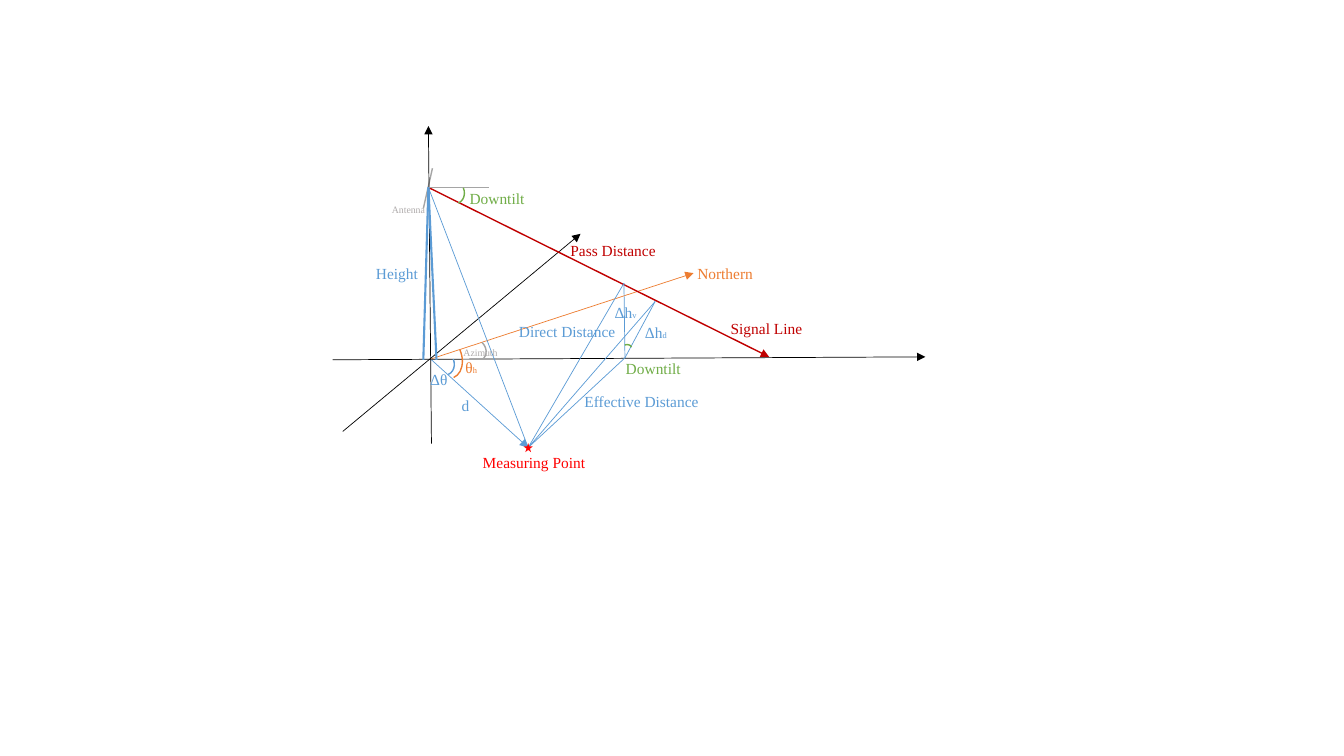
from lxml import etree
from pptx import Presentation
from pptx.dml.color import RGBColor
from pptx.enum.shapes import MSO_CONNECTOR, MSO_SHAPE
from pptx.enum.text import MSO_AUTO_SIZE
from pptx.oxml.ns import qn
from pptx.util import Pt

BLACK, GRAY, PALE = "000000", "A5A5A5", "AFABAB"
BLUE, ORANGE, GREEN = "5B9BD5", "ED7D31", "70AD47"
DARK_RED, RED = "C00000", "FF0000"
FONT = "Times New Roman"

# Key points of the diagram
ANTENNA, BASE = (306, 133.9), (308.2, 257)
MEASURING = (377.3, 319.7)
GROUND, ABOVE, NEAREST = (446.4, 255.6), (445.7, 202.3), (468, 215.3)

# from, to, colour, width, arrowhead
LINES = [
    ((302.4, 149), (308.9, 120.2), GRAY, 1, False),        # antenna panel
    ((308.2, 256.3), (495.4, 195.1), ORANGE, 0.5, True),   # north
    ((237.6, 257), (661, 254.9), BLACK, 0.5, True),        # axes
    ((244.8, 308.2), (414.7, 167), BLACK, 0.5, True),
    ((308.2, 316.8), (306, 90), BLACK, 0.5, True),
    (ANTENNA, (549.4, 254.9), DARK_RED, 1, True),          # signal
    (ANTENNA, (349.2, 133.9), GRAY, 1, False),             # horizontal
    (ANTENNA, (302.4, 257), BLUE, 1.5, False),             # tower legs
    (ANTENNA, (311.8, 257), BLUE, 1.5, False),
    (BASE, MEASURING, BLUE, 0.5, True),
    (MEASURING, ANTENNA, BLUE, 0.5, False),
    (MEASURING, GROUND, BLUE, 0.5, False),
    (MEASURING, ABOVE, BLUE, 0.5, False),
    (ABOVE, GROUND, BLUE, 0.5, False),
    (MEASURING, NEAREST, BLUE, 0.5, False),
    (NEAREST, GROUND, BLUE, 0.5, False),
]

# left, top, width, height, rotation, colour
ARCS = [
    (315.4, 129.6, 17.3, 15.1, 66.8, GREEN),
    (443.5, 246.2, 7.9, 6.5, 337.6, GREEN),
    (308.2, 252, 17.3, 15.1, 66.8, BLUE),
    (301, 242.6, 33.1, 23.8, 66.8, ORANGE),
    (330.5, 242.6, 17.3, 15.1, 43.7, GRAY),
]

# text, subscript, left, top, width, colour, size, wrap
LABELS = [
    ("Height", "", 261.4, 185, 44.6, BLUE, 11, False),
    ("d", "", 322.6, 279.4, 20.2, BLUE, 11, False),
    ("Northern", "", 491, 185, 54.7, ORANGE, 11, False),
    ("Signal Line", "", 514.8, 224.6, 65.5, DARK_RED, 11, False),
    ("Downtilt", "", 328.3, 131.8, 54.7, GREEN, 11, False),
    ("Downtilt", "", 439.9, 252.7, 54.7, GREEN, 11, False),
    ("θ", "h", 325.4, 252, 23, ORANGE, 11, False),
    ("Δθ", "", 300.2, 260.6, 27.4, BLUE, 11, True),
    ("Δh", "v", 432, 213.1, 30.2, BLUE, 11, False),
    ("Pass Distance", "", 400.3, 168.5, 75.6, DARK_RED, 11, False),
    ("Direct Distance", "", 363.6, 226.8, 86.4, BLUE, 11, False),
    ("Azimuth", "", 324, 244.1, 46.1, PALE, 7, True),
    ("Effective Distance", "", 410.4, 276.5, 113, BLUE, 11, True),
    ("Measuring Point", "", 337.7, 320.4, 87.8, RED, 11, False),
    ("Antenna", "", 272.9, 141.8, 46.1, PALE, 7, True),
    ("Δh", "d", 453.6, 227.5, 30.2, BLUE, 11, False),
]
LABEL_HEIGHT = {11: 20.9, 7: 15.8}
SUBSCRIPT_SIZE = 6
STAR_SIZE = 6.5


def rgb(color):
    return RGBColor.from_string(color)


def pts(*lengths):
    return [Pt(length) for length in lengths]


def add_line(start, end, color, width, arrow):
    line = slide.shapes.add_connector(MSO_CONNECTOR.STRAIGHT, *pts(*start, *end))
    line.line.color.rgb = rgb(color)
    line.line.width = Pt(width)
    if arrow:
        etree.SubElement(line.line._get_or_add_ln(), qn("a:tailEnd"), type="triangle")
    etree.SubElement(line._element.spPr, qn("a:effectLst"))


def add_arc(left, top, width, height, rotation, color):
    arc = slide.shapes.add_shape(MSO_SHAPE.ARC, *pts(left, top, width, height))
    arc.shadow.inherit = False
    arc.rotation = rotation
    arc.fill.background()
    arc.line.color.rgb = rgb(color)
    arc.line.width = Pt(1)


def add_label(text, subscript, left, top, width, color, size, wrap):
    box = slide.shapes.add_textbox(*pts(left, top, width, LABEL_HEIGHT[size]))
    frame = box.text_frame
    frame.word_wrap = wrap
    frame.auto_size = MSO_AUTO_SIZE.SHAPE_TO_FIT_TEXT
    for part, part_size in ((text, size), (subscript, SUBSCRIPT_SIZE)):
        if part:
            run = frame.paragraphs[0].add_run()
            run.text = part
            run.font.name = FONT
            run.font.size = Pt(part_size)
            run.font.color.rgb = rgb(color)


prs = Presentation()
prs.slide_width, prs.slide_height = pts(960, 540)
slide = prs.slides.add_slide(prs.slide_layouts[6])

# Axes, rays and angles
for line in LINES:
    add_line(*line)
for arc in ARCS:
    add_arc(*arc)

# Measuring point
star = slide.shapes.add_shape(
    MSO_SHAPE.STAR_5_POINT,
    *pts(MEASURING[0] - STAR_SIZE / 2, MEASURING[1] - STAR_SIZE / 2, STAR_SIZE, STAR_SIZE))
star.shadow.inherit = False
star.fill.solid()
star.fill.fore_color.rgb = rgb(RED)
star.line.fill.background()

# Labels
for label in LABELS:
    add_label(*label)

prs.save("out.pptx")
